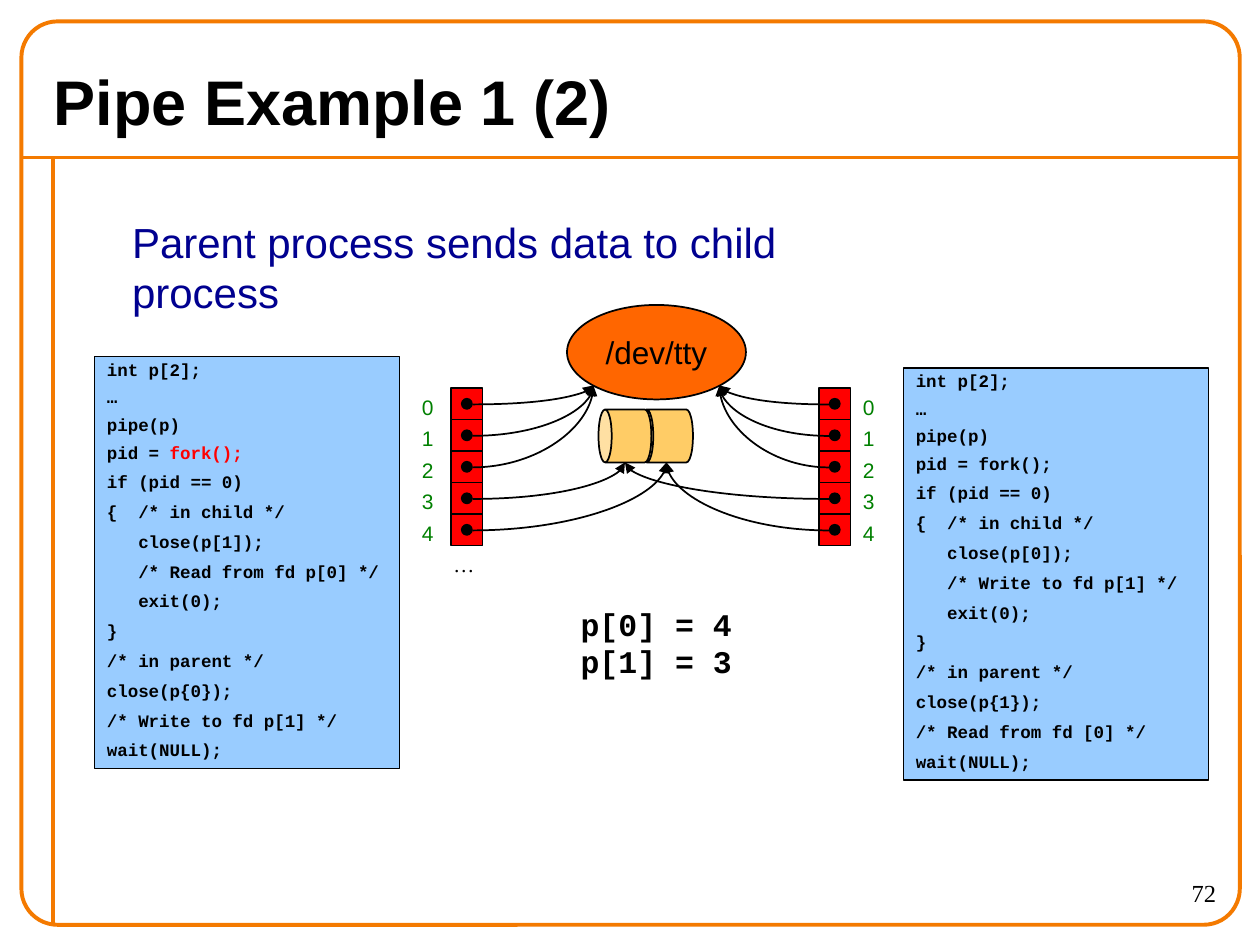
from lxml import etree
from pptx import Presentation
from pptx import util as u
from pptx.dml.color import RGBColor
from pptx.enum import shapes, text
from pptx.oxml.ns import qn

COLORS = {
    "frame": "F47A00", "black": "000000", "heading": "000090", "code": "99CCFF",
    "cell": "FF0000", "label": "008000", "terminal": "FF6600", "pipe": "FFCC66",
}
KIND = shapes.MSO_SHAPE
ROWS = [3.08 + 0.25 * row for row in range(5)]
CODE = """int p[2];
…
pipe(p)
pid = fork();
if (pid == 0)
{{  /* in child */
   close(p[{child_end}]);
   /* {child_action} */
   exit(0);
}}
/* in parent */
close(p{{{parent_end}}});
/* {parent_action} */
wait(NULL);"""


def rgb(name):
    """Return the named colour."""
    return RGBColor.from_string(COLORS[name])


def write(shape, content, size, font="Arial", color="black", bold=False, align="LEFT", anchor="TOP", wrap=True):
    """Put formatted text into a shape."""
    frame = shape.text_frame
    frame.text = content
    frame.word_wrap = wrap
    frame.vertical_anchor = getattr(text.MSO_ANCHOR, anchor)
    for paragraph in frame.paragraphs:
        paragraph.alignment = getattr(text.PP_ALIGN, align)
        for run in paragraph.runs:
            style(run, size, font, color, bold)


def style(run, size, font, color, bold):
    """Format one run."""
    run.font.size = u.Pt(size)
    run.font.name = font
    run.font.bold = bold
    run.font.color.rgb = rgb(color)


def add_text(slide, box, content, size, **options):
    """Add a text box."""
    shape = slide.shapes.add_textbox(*map(u.Inches, box))
    write(shape, content, size, **options)


def add_shape(slide, kind, box, fill, line="black", width=1):
    """Add a preset shape, unfilled when fill is None."""
    shape = slide.shapes.add_shape(kind, *map(u.Inches, box))
    shape.shadow.inherit = False
    if fill:
        shape.fill.solid()
        shape.fill.fore_color.rgb = rgb(fill)
    else:
        shape.fill.background()
    shape.line.color.rgb = rgb(line)
    shape.line.width = u.Pt(width)
    return shape


def add_connector(slide, kind, start, end, color, width):
    """Add a connector without a shadow."""
    connector = slide.shapes.add_connector(kind, *map(u.Inches, (*start, *end)))
    connector.line.color.rgb = rgb(color)
    connector.line.width = u.Pt(width)
    etree.SubElement(connector._element.spPr, qn("a:effectLst"))
    return connector


def add_curve(slide, start, end):
    """Add a quarter-curve arrow that leaves sideways and arrives upwards."""
    leftward = end[0] < start[0]
    first, last = (end, start) if leftward else (start, end)
    connector = add_connector(slide, shapes.MSO_CONNECTOR.CURVE, first, last, "black", 1)
    properties = connector._element.spPr
    properties.find(qn("a:prstGeom")).set("prst", "curvedConnector2")
    if leftward:
        properties.find(qn("a:xfrm")).set("rot", "10800000")
    etree.SubElement(properties.find(qn("a:ln")), qn("a:tailEnd"), type="triangle")


def add_code(slide, left, top, content, highlight=None):
    """Add a code listing, with one highlighted call if given."""
    shape = add_shape(slide, KIND.RECTANGLE, (left, top, 2.42, 3.27), "code", width=0.75)
    write(shape, content, 10, font="Courier New", bold=True)
    for index, paragraph in enumerate(shape.text_frame.paragraphs):
        paragraph.line_spacing = 0.8 if index < 4 else 0.9
        if index:
            paragraph.space_before = u.Pt(6.2)
        if highlight and highlight in paragraph.text:
            paragraph.runs[0].text = paragraph.text.replace(highlight, "")
            run = paragraph.add_run()
            run.text = highlight
            style(run, 10, "Courier New", "cell", True)


def add_descriptors(slide, left, label_left):
    """Add a column of numbered file descriptor cells."""
    inset = (0.25 - 0.08) / 2
    for number, top in enumerate(ROWS):
        add_shape(slide, KIND.RECTANGLE, (left, top, 0.25, 0.25), "cell")
        add_shape(slide, KIND.OVAL, (left + inset, top + inset, 0.08, 0.08), "black")
        add_text(slide, (label_left, top, 0.34, 0.3), str(number), 12, color="label")


def add_frame(slide):
    """Add the border, rules, title and page number."""
    straight = shapes.MSO_CONNECTOR.STRAIGHT
    add_connector(slide, straight, (0.17, 1.25), (9.83, 1.25), "frame", 2.25)
    add_connector(slide, straight, (0.42, 1.25), (0.42, 7.33), "frame", 2.25)
    border = add_shape(slide, KIND.ROUNDED_RECTANGLE, (0.17, 0.17, 9.67, 7.17), None, "frame", 2.25)
    border.adjustments[0] = 0.04
    add_text(slide, (0.33, 0.42, 9.33, 0.75), "Pipe Example 1 (2)", 36, bold=True, anchor="MIDDLE")
    add_text(slide, (8.75, 6.92, 1, 0.42), "72", 14, font="Times New Roman", align="RIGHT")


def add_diagram(slide):
    """Add the terminal, the pipe and both descriptor tables."""
    terminal = add_shape(slide, KIND.OVAL, (4.5, 2.42, 1.42, 0.75), "terminal")
    write(terminal, "/dev/tty", 18, align="CENTER", anchor="MIDDLE", wrap=False)
    add_descriptors(slide, 3.58, 3.25)
    add_descriptors(slide, 6.5, 6.75)
    add_text(slide, (3.5, 4.33, 0.33, 0.3), "…", 12, font="Times New Roman")
    for left in (5.08, 4.75):
        half = add_shape(slide, KIND.CAN, (left, 3.25, 0.42, 0.42), "pipe")
        half.rotation = 270
        half.adjustments[0] = 0.25
    pipe_ends = [(4.96, 3.67), (5.29, 3.67)]
    for start, tty_end in ((3.75, (4.71, 3.06)), (6.58, (5.71, 3.06))):
        for top, end in zip(ROWS, [tty_end] * 3 + pipe_ends):
            add_curve(slide, (start, top + 0.13), end)


def main():
    """Build and save the slide."""
    presentation = Presentation()
    presentation.slide_width, presentation.slide_height = u.Inches(10), u.Inches(7.5)
    slide = presentation.slides.add_slide(presentation.slide_layouts[6])
    add_frame(slide)
    add_text(slide, (0.95, 1.67, 6.57, 0.5), "Parent process sends data to child process", 24,
             color="heading", wrap=False)
    parent_writes = CODE.format(child_end=1, child_action="Read from fd p[0]",
                                parent_end=0, parent_action="Write to fd p[1]")
    child_writes = CODE.format(child_end=0, child_action="Write to fd p[1]",
                               parent_end=1, parent_action="Read from fd [0]")
    add_code(slide, 0.75, 2.83, parent_writes, "fork();")
    add_code(slide, 7.17, 2.92, child_writes)
    add_diagram(slide)
    add_text(slide, (4.51, 4.75, 1.4, 0.7), "p[0] = 4\np[1] = 3", 18, font="Courier New", bold=True, wrap=False)
    presentation.save("out.pptx")


if __name__ == "__main__":
    main()
